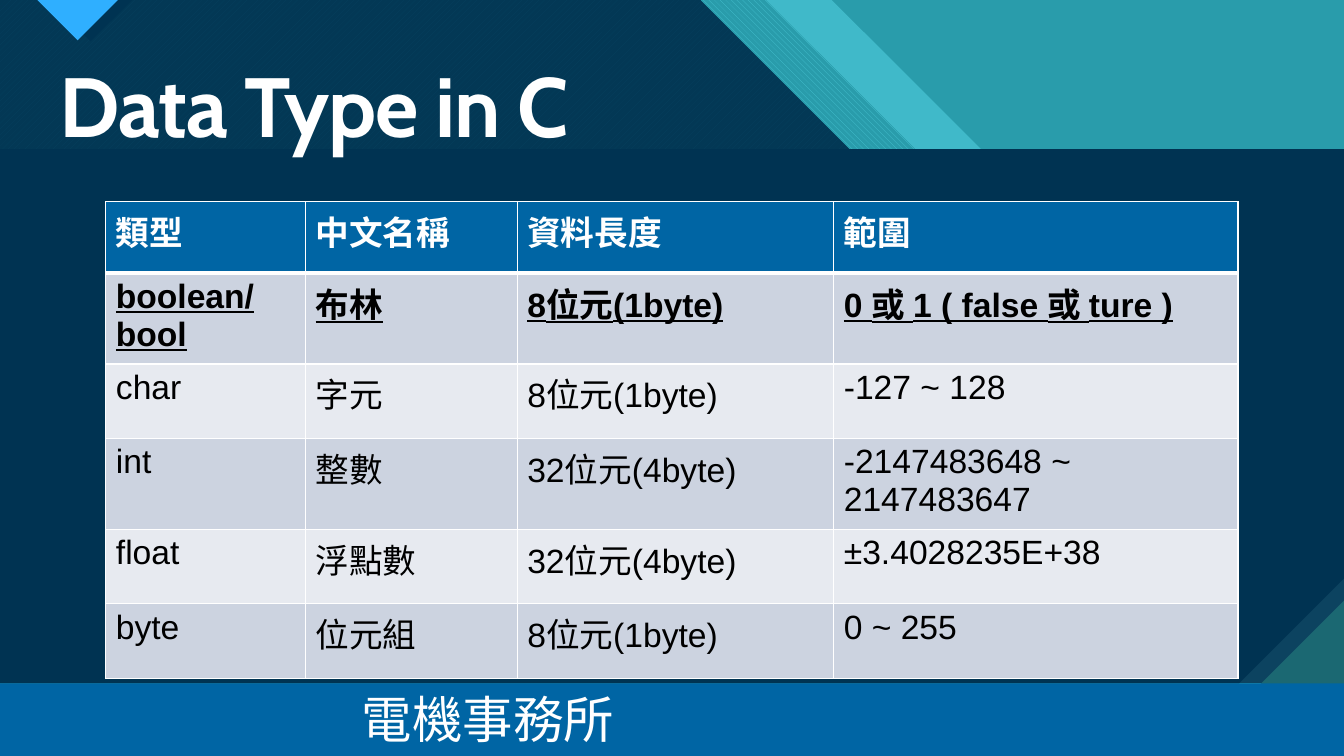
from lxml import etree
from pptx import Presentation
from pptx.dml.color import RGBColor
from pptx.enum.dml import MSO_PATTERN_TYPE as PATTERN
from pptx.enum.shapes import MSO_SHAPE
from pptx.enum.text import MSO_ANCHOR, PP_ALIGN
from pptx.oxml.ns import qn
from pptx.util import Inches, Pt

COLORS = {
    "teal": "299CAB", "aqua": "40B9C9", "stripe": "47C3D3", "navy": "003352",
    "weave": "07415F", "weave_back": "033855", "fold": "0C4360", "corner": "1B6872",
    "marker": "2FAFFF", "blue": "0065A4", "band_dark": "CCD3E0",
    "band_light": "E7EAF0", "white": "FFFFFF", "black": "000000",
}
RGB = {name: RGBColor.from_string(value) for name, value in COLORS.items()}
CJK_FONT = "Noto Sans CJK SC"


def add_polygon(points, color, pattern=None, back=None):
    corners = [(Inches(x), Inches(y)) for x, y in points]
    builder = slide.shapes.build_freeform(*corners[0], scale=1.0)
    builder.add_line_segments(corners[1:], close=True)
    polygon = builder.convert_to_shape()
    polygon.shadow.inherit = False
    polygon.line.fill.background()
    if pattern:
        polygon.fill.patterned()
        polygon.fill.pattern = pattern
        polygon.fill.fore_color.rgb = RGB[color]
        polygon.fill.back_color.rgb = RGB[back]
    else:
        polygon.fill.solid()
        polygon.fill.fore_color.rgb = RGB[color]


def style_run(run, size, font, color, bold=False, underline=False):
    run.font.size = Pt(size)
    run.font.name = font
    run.font.bold = bold
    run.font.underline = underline
    run.font.color.rgb = RGB[color]
    east_asian = etree.SubElement(run.font._element, qn("a:ea"))
    east_asian.set("typeface", CJK_FONT)


prs = Presentation()
prs.slide_width = Inches(13.33)
prs.slide_height = Inches(7.5)
slide = prs.slides.add_slide(prs.slide_layouts[6])
slide.background.fill.solid()
slide.background.fill.fore_color.rgb = RGB["teal"]

BAND = 1.48
for left, right, fill in [
    (0, 6.95, ("weave", PATTERN.WIDE_UPWARD_DIAGONAL, "weave_back")),
    (6.95, 7.6, ("stripe", PATTERN.WIDE_DOWNWARD_DIAGONAL, "teal")),
    (7.6, 8.25, ("aqua",)),
]:
    bottom_left = left + BAND if left else 0
    add_polygon([(left, 0), (right, 0), (right + BAND, BAND), (bottom_left, BAND)], *fill)

add_polygon([(0.48, 0), (1.31, 0), (0.9, 0.41)], "navy")
add_polygon([(0.37, 0), (1.17, 0), (0.77, 0.4)], "marker")
add_polygon([(0, BAND), (13.33, BAND), (13.33, 6.78), (0, 6.78)], "fold")
add_polygon([(0, BAND), (13.33, BAND), (13.33, 5.74), (12.29, 6.78), (0, 6.78)], "navy")
add_polygon([(11.79, 7.5), (13.33, 7.5), (13.33, 5.96)], "corner")

title = slide.shapes.add_textbox(Inches(0.49), Inches(0.59), Inches(12.26), Inches(1.01))
title.text_frame.word_wrap = True
title.text_frame.vertical_anchor = MSO_ANCHOR.MIDDLE
title.text_frame.text = "Data Type in C"
heading = title.text_frame.paragraphs[0]
heading.line_spacing = 0.9
style_run(heading.runs[0], 60, "Cabin", "white", bold=True)
heading.runs[0].font._element.set("spc", "-70")

footer = slide.shapes.add_shape(
    MSO_SHAPE.RECTANGLE, 0, Inches(6.78), prs.slide_width, Inches(0.72))
footer.shadow.inherit = False
footer.fill.solid()
footer.fill.fore_color.rgb = RGB["blue"]
footer.line.fill.background()

office = slide.shapes.add_textbox(Inches(3.49), Inches(6.78), Inches(6.36), Inches(0.71))
office.text_frame.word_wrap = True
office.text_frame.text = "電機事務所"
office.text_frame.paragraphs[0].alignment = PP_ALIGN.JUSTIFY
style_run(office.text_frame.paragraphs[0].runs[0], 36, CJK_FONT, "white")

data_types = [
    ["類型", "中文名稱", "資料長度", "範圍"],
    ["boolean/\nbool", "布林", "8位元(1byte)", "0 或 1 ( false 或 ture )"],
    ["char", "字元", "8位元(1byte)", "-127 ~ 128"],
    ["int", "整數", "32位元(4byte)", "-2147483648 ~ 2147483647"],
    ["float", "浮點數", "32位元(4byte)", "±3.4028235E+38"],
    ["byte", "位元組", "8位元(1byte)", "0 ~ 255"],
]
type_table = slide.shapes.add_table(
    len(data_types), 4, Inches(1.05), Inches(2), Inches(11.23), Inches(4.41)).table
for column, width in zip(type_table.columns, [1.98, 2.1, 3.14, 4.01]):
    column.width = Inches(width)

for r, entries in enumerate(data_types):
    type_table.rows[r].height = Inches(0.74 if r else 0.71)
    for c, entry in enumerate(entries):
        cell = type_table.cell(r, c)
        cell.text_frame.text = entry
        for paragraph in cell.text_frame.paragraphs:
            style_run(paragraph.runs[0], 24, "Arial", "black" if r else "white",
                      bold=r < 2, underline=r == 1)
        properties = cell._tc.get_or_add_tcPr()
        widths = {"lnL": 1, "lnR": 1, "lnT": 3 if r == 1 else 1, "lnB": 1 if r else 3}
        for side, width in widths.items():
            border = etree.SubElement(properties, qn("a:" + side), w=str(Pt(width)))
            paint = etree.SubElement(border, qn("a:solidFill"))
            etree.SubElement(paint, qn("a:srgbClr"), val=COLORS["white"])
        cell.fill.solid()
        row_band = "band_dark" if r % 2 else "band_light"
        cell.fill.fore_color.rgb = RGB[row_band if r else "blue"]

prs.save("out.pptx")
